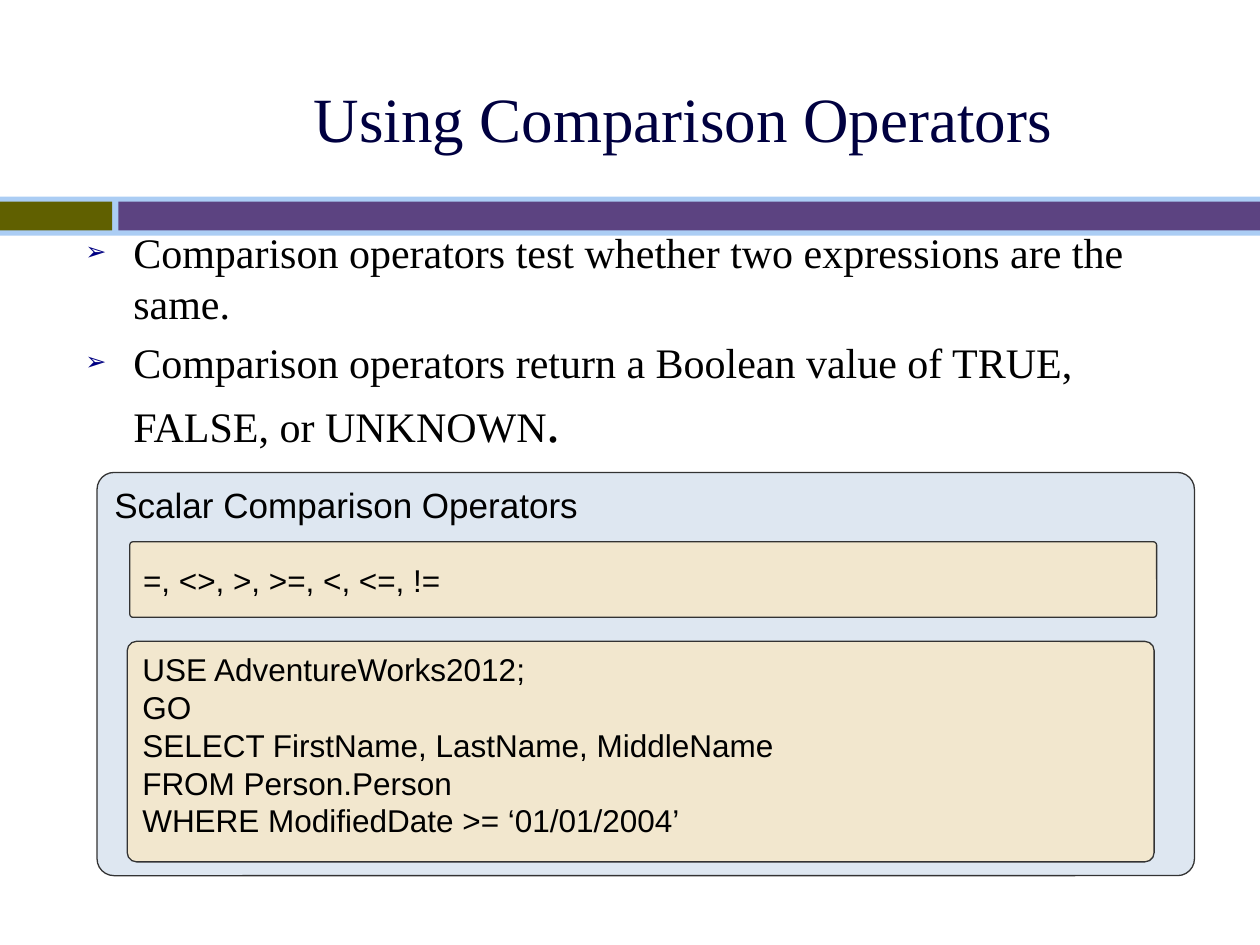
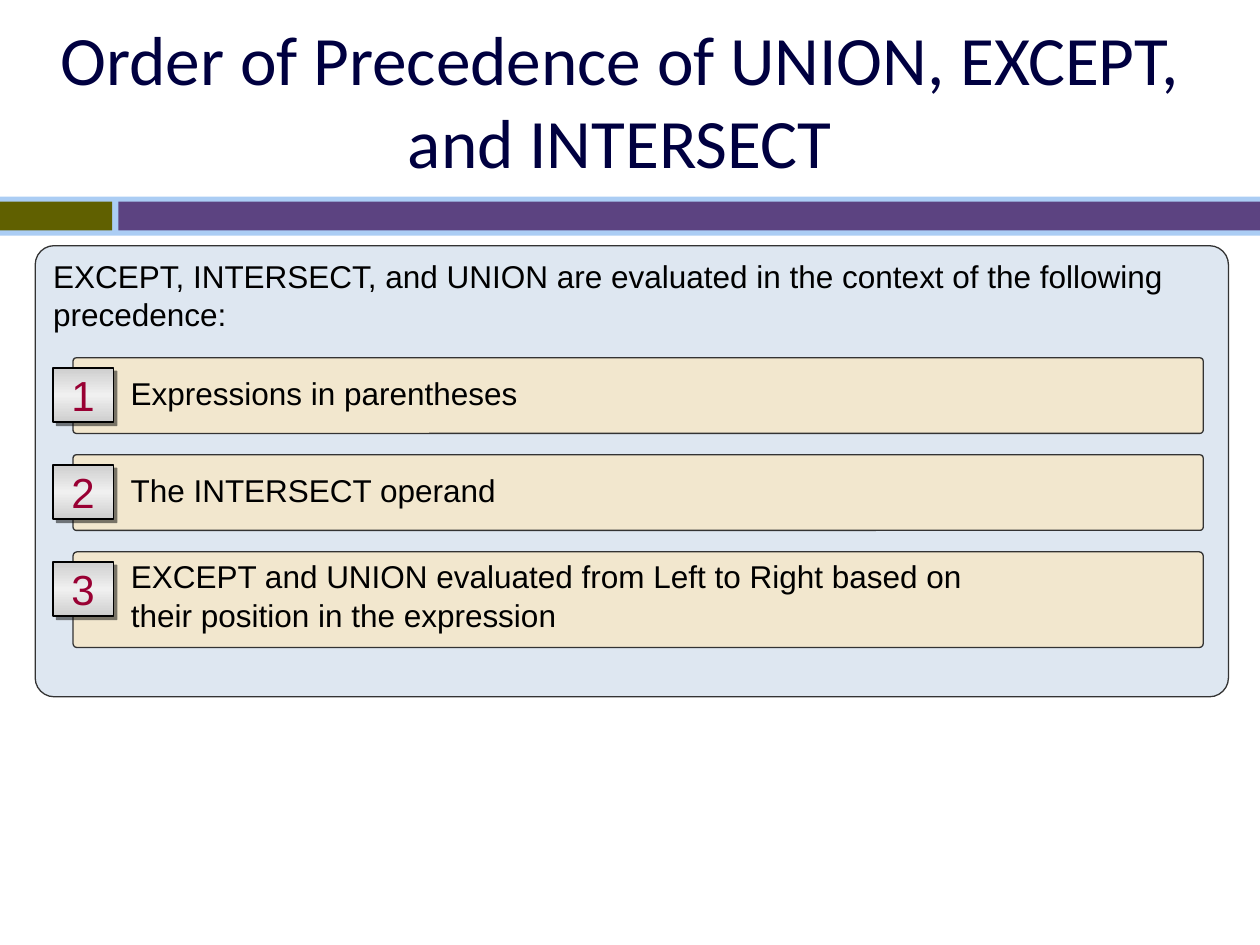
"""Build two slides on SQL comparison operators and set operator precedence."""
from copy import deepcopy

from lxml import etree
from pptx import Presentation
from pptx import util as u
from pptx.dml.color import RGBColor
from pptx.enum import shapes, text
from pptx.oxml.ns import qn

COLUMNS, ROWS = 100, 75
NAVY = RGBColor(0x00, 0x00, 0x40)
BULLET_BLUE = RGBColor(0x00, 0x00, 0x82)
BLACK = RGBColor(0x00, 0x00, 0x00)
OUTLINE = RGBColor(0x33, 0x33, 0x33)
SKY = RGBColor(0xAB, 0xCD, 0xF4)
OLIVE = RGBColor(0x60, 0x60, 0x00)
PURPLE = RGBColor(0x5C, 0x43, 0x81)
PALE_BLUE = RGBColor(0xDE, 0xE7, 0xF1)
SAND = RGBColor(0xF2, 0xE7, 0xCE)
SILVER = RGBColor(0xCE, 0xCE, 0xCE)
LIGHT_GREY = RGBColor(0xF0, 0xF0, 0xF0)
CRIMSON = RGBColor(0x99, 0x00, 0x33)

BANDS = [((0, 15.6, 100, 3.1), SKY),
         ((0, 16, 8.9, 2.3), OLIVE),
         ((9.4, 16, 90.6, 2.3), PURPLE)]
TOP = {"vertical_anchor": text.MSO_ANCHOR.TOP}
MIDDLE = {"vertical_anchor": text.MSO_ANCHOR.MIDDLE}
LEFT = {"alignment": text.PP_ALIGN.LEFT}
CENTER = {"alignment": text.PP_ALIGN.CENTER}


def apply(target, values):
    """Set every attribute in values on target."""
    for attribute, value in values.items():
        setattr(target, attribute, value)


def style_font(font, name, size, color):
    """Give a font its face, size and colour."""
    apply(font, {"name": name, "size": u.Pt(size)})
    font.color.rgb = color


class Deck:
    """Holds the presentation, its shared style and the current slide."""

    def __init__(self):
        """Start a deck of ten by seven and a half inches."""
        self.show = Presentation()
        apply(self.show, {"slide_width": u.Inches(10), "slide_height": u.Inches(7.5)})
        self.slide = None

    def place(self, area):
        """Turn grid columns and rows into slide lengths."""
        column = self.show.slide_width / COLUMNS
        row = self.show.slide_height / ROWS
        return [round(cells * unit) for cells, unit in zip(area, (column, row) * 2)]

    def start(self, heading, area, face, size):
        """Add a slide with its bands and heading."""
        self.slide = self.show.slides.add_slide(self.show.slide_layouts[5])
        for band_area, color in BANDS:
            self.block(shapes.MSO_SHAPE.RECTANGLE, band_area, color)
        title = self.slide.shapes.title
        apply(title, dict(zip(("left", "top", "width", "height"), self.place(area))))
        title.text_frame.auto_size = text.MSO_AUTO_SIZE.NONE
        self.fill_text(title, [heading], face, size, NAVY, MIDDLE, CENTER)

    def block(self, kind, area, fill, outline=None):
        """Add a flat shape, outlined if a colour is given."""
        shape = self.slide.shapes.add_shape(kind, *self.place(area))
        shape.shadow.inherit = False
        shape.fill.solid()
        shape.fill.fore_color.rgb = fill
        if outline is None:
            shape.line.fill.background()
        else:
            shape.line.color.rgb = outline
            shape.line.width = u.Pt(0.75)
        return shape

    def fill_text(self, shape, lines, face, size, color, frame, paragraph, later=None):
        """Fill a shape with one formatted paragraph per line."""
        body = shape.text_frame
        apply(body, {"word_wrap": True, **frame})
        body.text = "\n".join(lines)
        for index, line in enumerate(body.paragraphs):
            apply(line, {**paragraph, **(later or {} if index else {})})
            for run in line.runs:
                style_font(run.font, face, size, color)

    def panel(self, area, fill, lines, size=18, frame=TOP, paragraph=LEFT, later=None):
        """Add a rounded panel of text."""
        shape = self.block(shapes.MSO_SHAPE.ROUNDED_RECTANGLE, area, fill, OUTLINE)
        shape.adjustments[0] = 0.042
        self.fill_text(shape, lines, "Arial", size, BLACK, frame, paragraph, later)

    def badge(self, area, number):
        """Add a silver number plate with a hard shadow."""
        plate = self.block(shapes.MSO_SHAPE.RECTANGLE, area, SILVER, BLACK)
        plate.fill.gradient()
        plate.fill.gradient_angle = 270
        first = plate._element.spPr.find(".//" + qn("a:gs"))
        first.addnext(deepcopy(first))
        sheen = ((0, SILVER), (0.5, LIGHT_GREY), (1, SILVER))
        for stop, (position, color) in zip(plate.fill.gradient_stops, sheen):
            stop.position = position
            stop.color.rgb = color
        effects = plate._element.spPr.find(qn("a:effectLst"))
        shadow = etree.SubElement(effects, qn("a:outerShdw"), blurRad="0",
                                  dist=str(u.Pt(2.8)), dir="2700000",
                                  algn="ctr", rotWithShape="0")
        tint = etree.SubElement(shadow, qn("a:srgbClr"), val=str(BLACK))
        etree.SubElement(tint, qn("a:alpha"), val="50000")
        self.fill_text(plate, [number], "Arial", 24, CRIMSON, MIDDLE, CENTER)

    def bullets(self, area, points):
        """Add arrow bullets; each point is a list of text and size pairs."""
        frame = self.slide.shapes.add_textbox(*self.place(area)).text_frame
        frame.word_wrap = True
        for index, point in enumerate(points):
            line = frame.add_paragraph() if index else frame.paragraphs[0]
            marks = line._p.get_or_add_pPr()
            marks.set("marL", str(u.Inches(0.38)))
            marks.set("indent", str(-u.Inches(0.38)))
            tint = etree.SubElement(marks, qn("a:buClr"))
            etree.SubElement(tint, qn("a:srgbClr"), val=str(BULLET_BLUE))
            etree.SubElement(marks, qn("a:buSzPct"), val="60000")
            etree.SubElement(marks, qn("a:buFont"), typeface="Arial")
            etree.SubElement(marks, qn("a:buChar"), char="➢")
            if index:
                line.space_before = u.Pt(5)
            for wording, size in point:
                run = line.add_run()
                run.text = wording
                style_font(run.font, "Times New Roman", size, BLACK)


def comparison_slide(deck):
    """Build the slide on comparison operators."""
    deck.start("Using Comparison Operators", (9.2, 3.1, 90, 12.5), "Times New Roman", 36)
    deck.bullets((5.8, 17.5, 91.8, 53.3), [
        [("Comparison operators test whether two expressions are the same.", 24)],
        [("Comparison operators return a Boolean value of TRUE, FALSE, or UNKNOWN", 24),
         (".", 32)]])
    deck.panel((7.7, 37.5, 87.1, 32), PALE_BLUE, ["Scalar Comparison Operators"], 20)
    deck.panel((10.3, 43, 81.5, 6), SAND, ["=, <>, >, >=, <, <=, !="], frame=MIDDLE)
    deck.panel((10.1, 50.9, 81.5, 17.5), SAND, [
        "USE AdventureWorks2012;",
        "GO",
        "SELECT FirstName, LastName, MiddleName",
        "FROM Person.Person",
        "WHERE ModifiedDate >= ‘01/01/2004’"])


def precedence_slide(deck):
    """Build the slide on the order of precedence."""
    deck.start("Order of Precedence of UNION, EXCEPT, and INTERSECT",
               (2.5, 2.5, 93.4, 10.8), "Calibri", 39.6)
    deck.panel((2.8, 19.5, 94.7, 35.8), PALE_BLUE, [
        "EXCEPT, INTERSECT, and UNION are evaluated in the context "
        "of the following precedence:"])
    steps = [(["Expressions in parentheses"], 6, 0.9),
             (["The INTERSECT operand"], 6, 0.9),
             (["EXCEPT and UNION evaluated from Left to Right based on",
               "their position in the expression"], 7.6, 0.7)]
    for index, (lines, height, spacing) in enumerate(steps):
        top = 28.4 + 7.7 * index
        deck.panel((5.8, top, 89.7, height), SAND, lines,
                   frame={**MIDDLE, "margin_left": u.Inches(0.45)},
                   paragraph={**LEFT, "line_spacing": spacing},
                   later={"space_before": u.Pt(7.2)})
        deck.badge((4.2, top + 0.8, 4.8, 4.3), str(index + 1))


def main():
    """Build and save the deck."""
    deck = Deck()
    comparison_slide(deck)
    precedence_slide(deck)
    deck.show.save("out.pptx")


if __name__ == "__main__":
    main()
